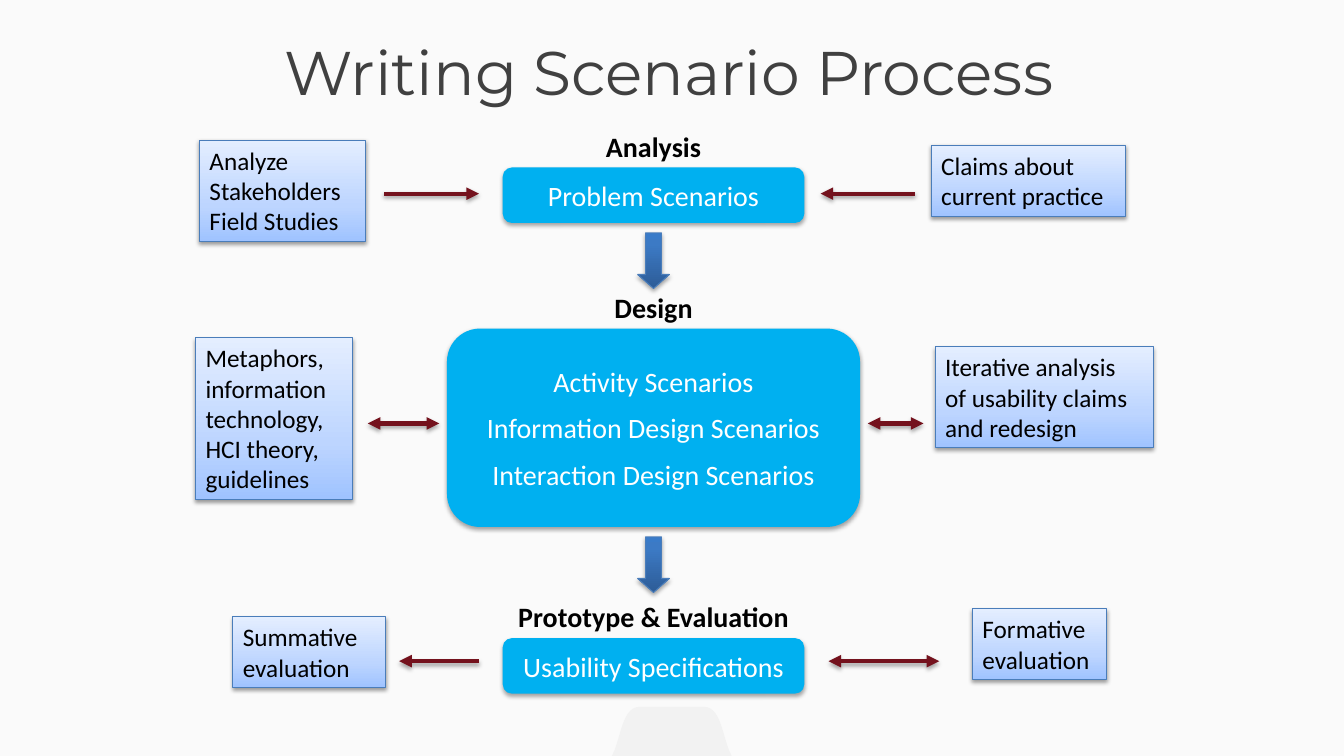
from lxml.etree import SubElement
from pptx import Presentation
from pptx.dml.color import RGBColor
from pptx.enum.shapes import MSO_CONNECTOR as Connector, MSO_SHAPE as Shape
from pptx.enum.text import MSO_ANCHOR as Anchor, PP_ALIGN as Align
from pptx.oxml.ns import qn
from pptx.util import Cm, Pt

BACKGROUND = RGBColor(0xFA, 0xFA, 0xFA)
TAB_GREY = RGBColor(0xF2, 0xF2, 0xF2)
TITLE_GREY = RGBColor(0x40, 0x40, 0x40)
BLACK = RGBColor(0x00, 0x00, 0x00)
WHITE = RGBColor(0xFF, 0xFF, 0xFF)
STAGE_BLUE = RGBColor(0x00, 0xB0, 0xF0)
OUTLINE_BLUE = RGBColor(0x4A, 0x7D, 0xBA)
ARROW_RED = RGBColor(0x74, 0x12, 0x1D)
NOTE_STOPS = [(0, RGBColor(0x9F, 0xC3, 0xFF)), (35, RGBColor(0xBD, 0xD5, 0xFF)),
              (100, RGBColor(0xE4, 0xEE, 0xFF))]
FLOW_STOPS = [(0, RGBColor(0x2D, 0x5C, 0x97)), (80, RGBColor(0x3C, 0x7A, 0xC5)),
              (100, RGBColor(0x39, 0x7B, 0xC9))]

AXIS = 16.47  # centre of the stage column, in cm
HEADING_HEIGHT = 1.09

# heading, scenarios, top, width, height
STAGES = [
    ("Analysis", ["Problem Scenarios"], 4.22, 7.6, 1.4),
    ("Design", ["Activity Scenarios", "Information Design Scenarios",
                "Interaction Design Scenarios"], 8.28, 10.41, 5),
    ("Prototype & Evaluation", ["Usability Specifications"], 16.08, 7.6, 1.4),
]
# lines, left, top, width
NOTES = [
    (["Analyze", "Stakeholders", "Field Studies"], 5.03, 3.53, 4.19),
    (["Claims about", "current practice"], 23.47, 3.66, 4.9),
    (["Metaphors,", "information", "technology,", "HCI theory,", "guidelines"],
     4.93, 8.51, 3.96),
    (["Iterative analysis", "of usability claims", "and redesign"], 23.57, 8.74, 5.49),
    (["Summative", "evaluation"], 5.87, 15.54, 3.84),
    (["Formative", "evaluation"], 24.51, 15.34, 3.38),
]
# left, right, height on the slide, ends that carry an arrowhead
LINKS = [
    (9.68, 12.07, 4.88, ["tailEnd"]),
    (20.68, 23.06, 4.88, ["headEnd"]),
    (9.27, 11.07, 10.67, ["headEnd", "tailEnd"]),
    (21.87, 23.27, 10.67, ["headEnd", "tailEnd"]),
    (10.06, 12.07, 16.66, ["headEnd"]),
    (20.88, 23.67, 16.66, ["headEnd", "tailEnd"]),
]


def add_shadow(effects, opacity=35, distance=1.8):
    shadow = SubElement(effects, qn("a:outerShdw"), blurRad=str(Pt(3.1)),
                        dist=str(Pt(distance)), dir="5400000", rotWithShape="0")
    color = SubElement(shadow, qn("a:srgbClr"), val=str(BLACK))
    SubElement(color, qn("a:alpha"), val=str(opacity * 1000))


def add_block(slide, kind, left, top, width, height, **shadow):
    shape = slide.shapes.add_shape(kind, Cm(left), Cm(top), Cm(width), Cm(height))
    shape.shadow.inherit = False
    add_shadow(shape._element.spPr.find(qn("a:effectLst")), **shadow)
    return shape


def fill_gradient(shape, stops):
    """Blend the stops from bottom to top inside a thin outline."""
    shape.fill.gradient()
    shape.fill.gradient_angle = 90
    stop_list = shape._element.spPr.find(qn("a:gradFill")).find(qn("a:gsLst"))
    stop_list.clear()
    for position, color in stops:
        stop = SubElement(stop_list, qn("a:gs"), pos=str(position * 1000))
        SubElement(stop, qn("a:srgbClr"), val=str(color))
    shape.line.color.rgb = OUTLINE_BLUE
    shape.line.width = Pt(0.75)


def write(shape, lines, size, color, align=Align.CENTER, anchor=Anchor.TOP,
          font="Calibri", bold=False, gap=0):
    frame = shape.text_frame
    frame.word_wrap = True
    frame.vertical_anchor = anchor
    for index, line in enumerate(lines):
        paragraph = frame.add_paragraph() if index else frame.paragraphs[0]
        paragraph.text = line
        paragraph.alignment = align
        paragraph.space_before = Pt(gap if index else 0)
        paragraph.font.name = font
        paragraph.font.size = Pt(size)
        paragraph.font.bold = bold
        paragraph.font.color.rgb = color


def add_label(slide, text, left, top, width, height, size, color, **style):
    box = slide.shapes.add_textbox(Cm(left), Cm(top), Cm(width), Cm(height))
    write(box, [text], size, color, **style)


def add_stage(slide, heading, scenarios, top, width, height):
    left = AXIS - width / 2
    box = add_block(slide, Shape.ROUNDED_RECTANGLE, left, top, width, height)
    box.fill.solid()
    box.fill.fore_color.rgb = STAGE_BLUE
    box.line.fill.background()
    write(box, scenarios, 20, WHITE, anchor=Anchor.MIDDLE, gap=9.5)
    add_label(slide, heading, left, top - HEADING_HEIGHT, width, HEADING_HEIGHT,
              20, BLACK, bold=True)


def add_flow_arrow(slide, top):
    width = 0.8
    arrow = add_block(slide, Shape.DOWN_ARROW, AXIS - width / 2, top, width, 1.4)
    arrow.adjustments[1] = 0.44
    fill_gradient(arrow, FLOW_STOPS)


def add_note(slide, lines, left, top, width):
    height = 0.76 * len(lines) + 0.27
    note = add_block(slide, Shape.RECTANGLE, left, top, width, height,
                     opacity=38, distance=1.6)
    fill_gradient(note, NOTE_STOPS)
    write(note, lines, 18, BLACK, align=Align.LEFT)


def add_link(slide, left, right, y, arrow_ends):
    link = slide.shapes.add_connector(Connector.STRAIGHT, Cm(left), Cm(y), Cm(right), Cm(y))
    link.line.color.rgb = ARROW_RED
    link.line.width = Pt(3)
    properties = link._element.spPr
    for end in arrow_ends:
        SubElement(properties.find(qn("a:ln")), qn(f"a:{end}"), type="triangle")
    add_shadow(SubElement(properties, qn("a:effectLst")))


def add_bottom_tab(slide):
    """Draw the tab with curved shoulders on the lower edge."""
    center, steps = 16.93, 12
    controls = [(0.8, 17.81), (1.21, 17.81), (1.26, 18.42), (1.44, 18.9)]
    side = []
    for step in range(steps + 1):
        t = step / steps
        weights = [(1 - t) ** 3, 3 * t * (1 - t) ** 2, 3 * t ** 2 * (1 - t), t ** 3]
        side.append([sum(w * point[axis] for w, point in zip(weights, controls))
                     for axis in (0, 1)])
    side.append([1.51, 19.05])
    outline = [(Cm(center + x), Cm(y)) for x, y in side]
    outline += [(Cm(center - x), Cm(y)) for x, y in reversed(side)]
    builder = slide.shapes.build_freeform(*outline[0])
    builder.add_line_segments(outline[1:], close=True)
    tab = builder.convert_to_shape()
    tab.shadow.inherit = False
    tab.fill.solid()
    tab.fill.fore_color.rgb = TAB_GREY
    tab.line.fill.background()


def main():
    presentation = Presentation()
    presentation.slide_width, presentation.slide_height = Cm(33.87), Cm(19.05)
    slide = presentation.slides.add_slide(presentation.slide_layouts[6])
    slide.background.fill.solid()
    slide.background.fill.fore_color.rgb = BACKGROUND
    add_bottom_tab(slide)

    # Stages down the middle
    for stage in STAGES:
        add_stage(slide, *stage)

    # Notes on both sides and their links
    for note in NOTES:
        add_note(slide, *note)
    for link in LINKS:
        add_link(slide, *link)

    # Flow from each stage to the next
    for _, _, top, _, height in STAGES[:-1]:
        add_flow_arrow(slide, top + height + 0.25)

    # Title
    add_label(slide, "Writing Scenario Process", 2.82, 0.74, 28.09, 2.13,
              44, TITLE_GREY, font="Montserrat")
    presentation.save("out.pptx")


if __name__ == "__main__":
    main()
